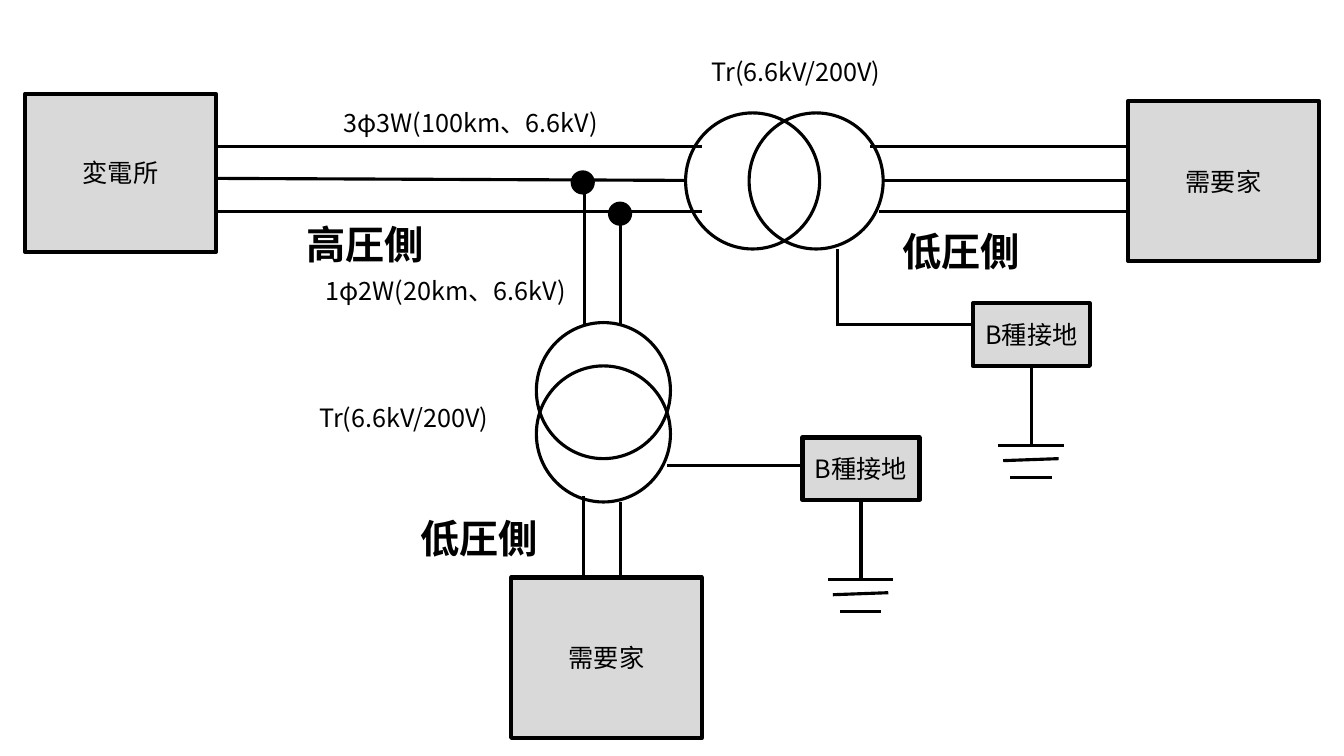
from pptx import Presentation
from pptx.dml.color import RGBColor
from pptx.enum.shapes import MSO_CONNECTOR as Connector, MSO_SHAPE as Shape
from pptx.enum.text import MSO_ANCHOR as Anchor, MSO_AUTO_SIZE as AutoSize, PP_ALIGN as Align
from pptx.oxml.ns import qn
from pptx.util import Inches, Pt
from lxml import etree

THEME = {
    "ink": RGBColor(0, 0, 0),
    "box": RGBColor(0xD9, 0xD9, 0xD9),
    "font": "Noto Sans CJK JP",
    "wire": Pt(2.25),
    "border": Pt(3),
    "label": {"size": Pt(18), "bold": False},
    "side": {"size": Pt(28), "bold": True},
}

deck = Presentation()
deck.slide_width, deck.slide_height = Inches(13.33), Inches(7.5)
page = deck.slides.add_slide(deck.slide_layouts[6])


def write(frame, text, style, align):
    para = frame.paragraphs[0]
    para.alignment = align
    span = para.add_run()
    span.text = text
    for name, value in {"name": THEME["font"], **THEME[style]}.items():
        setattr(span.font, name, value)
    span.font.color.rgb = THEME["ink"]
    east_asian = etree.SubElement(span.font._element, qn("a:ea"))
    east_asian.set("typeface", THEME["font"])


def draw(kind, left, top, width, height, fill=None, border=None):
    shape = page.shapes.add_shape(kind, Inches(left), Inches(top), Inches(width), Inches(height))
    shape.shadow.inherit = False
    if fill is None:
        shape.fill.background()
    else:
        shape.fill.solid()
        shape.fill.fore_color.rgb = fill
    if border is None:
        shape.line.fill.background()
    else:
        shape.line.color.rgb = THEME["ink"]
        shape.line.width = border
    return shape


# Wires: start x, start y, end x, end y
wires = [
    # High-voltage trunk
    (2.15, 1.45, 6.96, 1.45), (2.15, 1.77, 6.8, 1.79), (2.15, 2.1, 6.96, 2.1),
    # Low-voltage side of the right transformer
    (8.63, 1.45, 12.45, 1.45), (8.76, 1.79, 12.45, 1.79), (8.72, 2.1, 12.45, 2.1),
    # Branch to the lower transformer and its customer
    (5.8, 1.77, 5.8, 3.22), (6.15, 2.1, 6.15, 3.22),
    (5.79, 4.92, 5.79, 6.09), (6.15, 4.98, 6.15, 6.09),
    # Leads to the grounding boxes
    (6.62, 4.62, 7.96, 4.62), (8.31, 2.47, 8.31, 3.22), (8.29, 3.22, 9.63, 3.22),
]

# Ground symbols hang below the grounding boxes
grounding_boxes = [(7.96, 4.34), (9.65, 3.01)]
box_width, box_height = 1.16, 0.62
for left, top in grounding_boxes:
    x, y = left + box_width / 2, top + box_height
    wires += [
        (x, y, x, y + 0.79),
        (x - 0.33, y + 0.79, x + 0.32, y + 0.79),
        (x - 0.28, y + 0.94, x + 0.27, y + 0.92),
        (x - 0.21, y + 1.11, x + 0.2, y + 1.11),
    ]

for wire in wires:
    line = page.shapes.add_connector(Connector.STRAIGHT, *map(Inches, wire))
    line.line.color.rgb = THEME["ink"]
    line.line.width = THEME["wire"]
    etree.SubElement(line._element.spPr, qn("a:effectLst"))

# Transformer windings
for left, top in [(6.8, 1.12), (7.43, 1.12), (5.32, 3.2), (5.32, 3.63)]:
    draw(Shape.OVAL, left, top, 1.33, 1.35, border=THEME["wire"])

# Junction dots
for left, top in [(5.66, 1.69), (6.03, 2)]:
    draw(Shape.OVAL, left, top, 0.24, 0.24, fill=THEME["ink"])

# Substation, customers and grounding boxes
boxes = [
    ("変電所", 0.25, 0.93, 1.89, 1.57),
    ("需要家", 11.19, 1, 1.89, 1.59),
    ("需要家", 5.07, 5.73, 1.89, 1.59),
]
boxes += [("B種接地", left, top, box_width, box_height) for left, top in grounding_boxes]
for text, *place in boxes:
    box = draw(Shape.RECTANGLE, *place, fill=THEME["box"], border=THEME["border"])
    box.text_frame.word_wrap = True
    box.text_frame.vertical_anchor = Anchor.MIDDLE
    write(box.text_frame, text, "label", Align.CENTER)

# Labels
labels = [
    ("3φ3W(100km、6.6kV)", "label", 3.31, 1.02, 2.83, 0.4),
    ("1φ2W(20km、6.6kV)", "label", 3.13, 2.68, 2.69, 0.4),
    ("Tr(6.6kV/200V)", "label", 3.07, 3.94, 2, 0.4),
    ("Tr(6.6kV/200V)", "label", 6.96, 0.51, 2, 0.4),
    ("高圧側", "side", 2.94, 2.14, 1.38, 0.57),
    ("低圧側", "side", 8.85, 2.21, 1.38, 0.57),
    ("低圧側", "side", 4.07, 5.05, 1.38, 0.57),
]
for text, style, *place in labels:
    label = page.shapes.add_textbox(*map(Inches, place))
    label.text_frame.word_wrap = False
    label.text_frame.auto_size = AutoSize.SHAPE_TO_FIT_TEXT
    write(label.text_frame, text, style, Align.LEFT)

deck.save("out.pptx")
